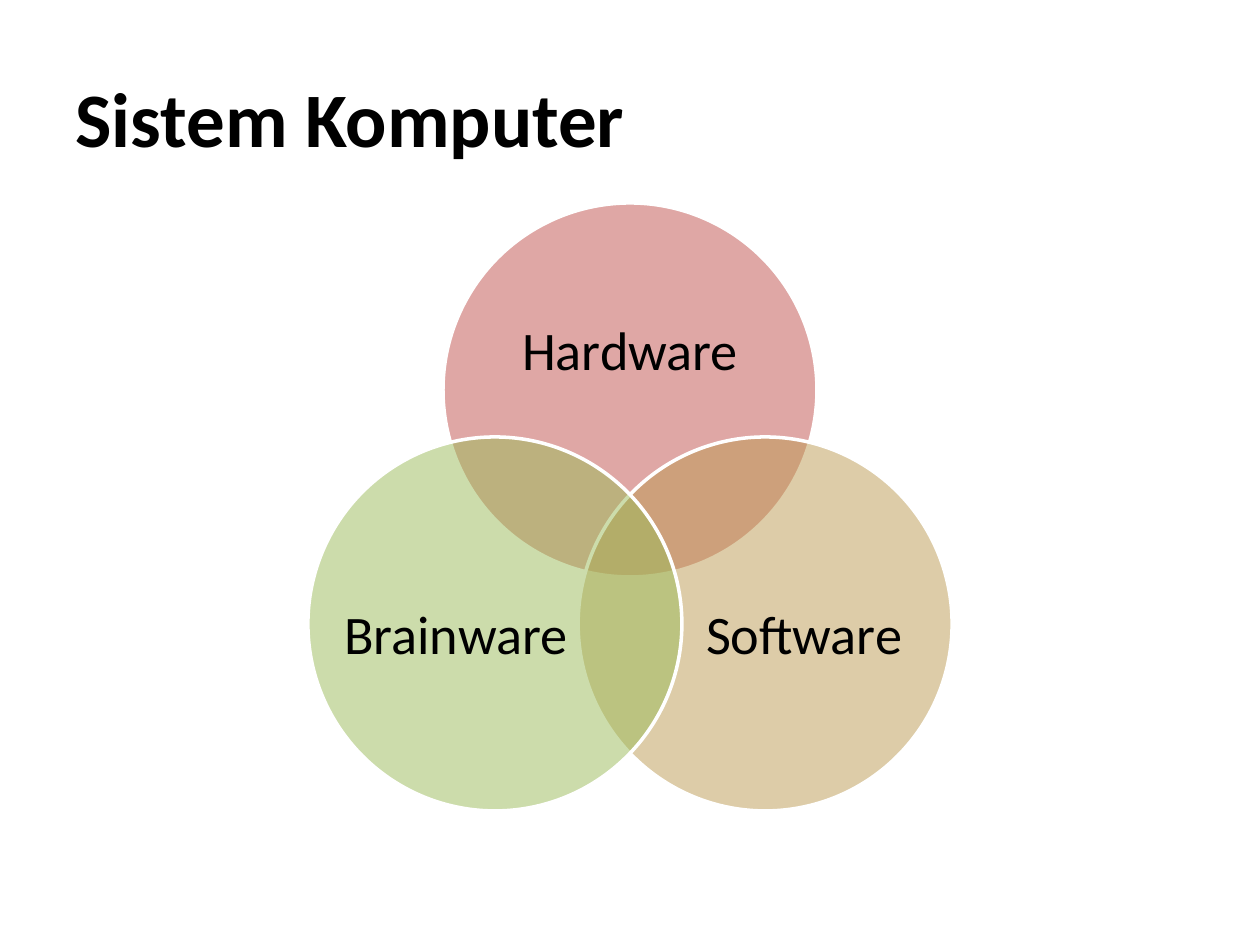
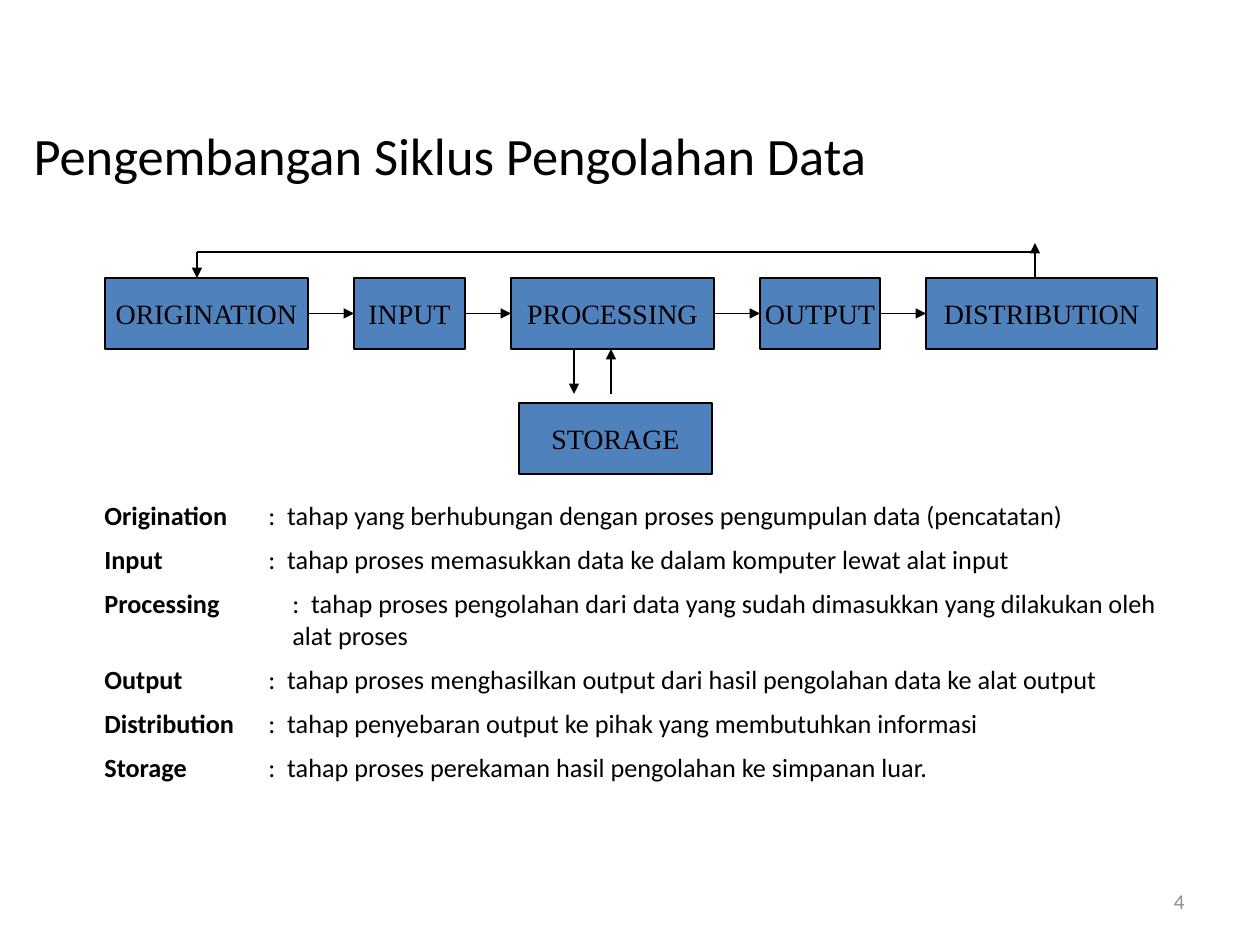
import math

import pptx
import pptx.util
import pptx.dml.color
import pptx.enum.shapes
import pptx.enum.text
import pptx.oxml.ns
import lxml.etree

RGB = pptx.dml.color.RGBColor
Pt = pptx.util.Pt
ALIGN = pptx.enum.text.PP_ALIGN
SHAPE = pptx.enum.shapes.MSO_SHAPE
qn = pptx.oxml.ns.qn

BLACK = RGB(0x00, 0x00, 0x00)
WHITE = RGB(0xFF, 0xFF, 0xFF)
GREY = RGB(0x8C, 0x8C, 0x8C)
RED = RGB(0xC0, 0x50, 0x4D)
SAND = RGB(0xBD, 0x9B, 0x53)
GREEN = RGB(0x9B, 0xBB, 0x59)
BLUE = RGB(0x4F, 0x81, 0xBD)
BODY_FONT = "Calibri"
BOX_FONT = "Times New Roman"
PX_PER_INCH = 126

# name, colour, angle on the ring, label size, label shift from the circle's centre
PARTS = [
    ("Hardware", RED, -90, (275, 169), (0, -37)),
    ("Software", SAND, 30, (224, 205), (39, 13)),
    ("Brainware", GREEN, 150, (224, 205), (-39, 13)),
]
VENN_CENTRE = (630, 546)
RING = 156
DIAMETER = 374

STAGES = [("ORIGINATION", 203), ("INPUT", 111), ("PROCESSING", 203),
          ("OUTPUT", 120), ("DISTRIBUTION", 231)]
FLOW_LEFT, FLOW_TOP, BOX_HEIGHT, GAP = 105, 278, 71, 46
STORAGE = ("STORAGE", 519, 403, 193)
FEEDBACK_LEFT, FEEDBACK_RIGHT, FEEDBACK_Y = 197, 1035, 252

TERMS = [
    ("Origination", "tahap yang berhubungan dengan proses pengumpulan data (pencatatan)"),
    ("Input", "tahap proses memasukkan data ke dalam komputer lewat alat input"),
    ("Processing", "tahap proses pengolahan dari data yang sudah dimasukkan yang "
                   "dilakukan oleh alat proses"),
    ("Output", "tahap proses menghasilkan output dari hasil pengolahan data ke alat output"),
    ("Distribution", "tahap penyebaran output ke pihak yang membutuhkan informasi"),
    ("Storage", "tahap proses perekaman hasil pengolahan ke simpanan luar."),
]
TAB_STOP = 164
HANGING = {"Processing": 188}


def px(n):
    return pptx.util.Emu(round(n * 914400 / PX_PER_INCH))


def style(run, size, font=BODY_FONT, color=BLACK, bold=False):
    run.font.size = Pt(size)
    run.font.name = font
    run.font.color.rgb = color
    run.font.bold = bold


def write(sp, text, size, align=ALIGN.CENTER, **look):
    """Put one vertically centred paragraph in a shape."""
    tf = sp.text_frame
    tf.text = text
    tf.vertical_anchor = pptx.enum.text.MSO_ANCHOR.MIDDLE
    p = tf.paragraphs[0]
    p.alignment = align
    style(p.runs[0], size, **look)
    return tf


def new_slide(prs, title, box, size, bold=False):
    s = prs.slides.add_slide(prs.slide_layouts[5])
    sp = s.shapes.title
    sp.left, sp.top, sp.width, sp.height = map(px, box)
    write(sp, title, size, ALIGN.LEFT, bold=bold)
    return s


def add_shape(s, kind, box, fill, line, weight):
    sp = s.shapes.add_shape(kind, *map(px, box))
    sp.shadow.inherit = False
    sp.fill.solid()
    sp.fill.fore_color.rgb = fill
    sp.line.color.rgb = line
    sp.line.width = Pt(weight)
    return sp


def add_text_box(s, box):
    sp = s.shapes.add_textbox(*map(px, box))
    sp.text_frame.word_wrap = True
    return sp


def add_circle(s, cx, cy, color):
    box = (cx - DIAMETER / 2, cy - DIAMETER / 2, DIAMETER, DIAMETER)
    sp = add_shape(s, SHAPE.OVAL, box, color, WHITE, 2)
    clr = sp._element.spPr.find(qn("a:solidFill"))[0]
    lxml.etree.SubElement(clr, qn("a:alpha"), val="50000")


def add_label(s, text, cx, cy, width, height):
    sp = add_text_box(s, (cx - width / 2, cy - height / 2, width, height))
    tf = write(sp, text, 31)
    tf.margin_left = tf.margin_right = tf.margin_top = tf.margin_bottom = 0
    tf.paragraphs[0].line_spacing = 0.9


def add_box(s, text, left, top, width):
    sp = add_shape(s, SHAPE.RECTANGLE, (left, top, width, BOX_HEIGHT), BLUE, BLACK, 0.75)
    write(sp, text, 16, font=BOX_FONT).word_wrap = False


def add_line(s, x1, y1, x2, y2, arrow=True):
    straight = pptx.enum.shapes.MSO_CONNECTOR.STRAIGHT
    cn = s.shapes.add_connector(straight, *map(px, (x1, y1, x2, y2)))
    cn.line.color.rgb = BLACK
    cn.line.width = Pt(0.75)
    if arrow:
        lxml.etree.SubElement(cn.line._get_or_add_ln(), qn("a:tailEnd"), type="triangle")
    lxml.etree.SubElement(cn._element.spPr, qn("a:effectLst"))


def add_terms(s):
    tf = add_text_box(s, (92, 493, 1105, 321)).text_frame
    for i, (term, meaning) in enumerate(TERMS):
        p = tf.add_paragraph() if i else tf.paragraphs[0]
        p.space_before = Pt(7.2 if i else 0)
        for text, bold in ((term + "\t", True), (":  " + meaning, False)):
            r = p.add_run()
            r.text = text
            style(r, 15, bold=bold)
        pPr = p._p.get_or_add_pPr()
        tabs = lxml.etree.SubElement(pPr, qn("a:tabLst"))
        lxml.etree.SubElement(tabs, qn("a:tab"), pos=str(px(TAB_STOP)), algn="l")
        if term in HANGING:
            indent = px(HANGING[term])
            pPr.set("marL", str(indent))
            pPr.set("indent", str(-indent))


def build_venn(prs):
    s = new_slide(prs, "Sistem Komputer", (63, 38, 819, 157), 44, bold=True)
    for name, color, angle, size, (dx, dy) in PARTS:
        cx = VENN_CENTRE[0] + RING * math.cos(math.radians(angle))
        cy = VENN_CENTRE[1] + RING * math.sin(math.radians(angle))
        add_circle(s, cx, cy, color)
        add_label(s, name, cx + dx, cy + dy, *size)


def build_cycle(prs):
    s = new_slide(prs, "Pengembangan Siklus Pengolahan Data", (21, 98, 1050, 112), 30)
    write(add_text_box(s, (903, 876, 294, 50)), "4", 12, ALIGN.RIGHT, color=GREY)

    left, middle, bottom = FLOW_LEFT, FLOW_TOP + BOX_HEIGHT / 2, FLOW_TOP + BOX_HEIGHT
    for i, (name, width) in enumerate(STAGES):
        add_box(s, name, left, FLOW_TOP, width)
        if i:
            add_line(s, left - GAP, middle, left, middle)
        left += width + GAP
    add_box(s, *STORAGE)

    add_line(s, 574, bottom, 574, 394)
    add_line(s, 611, 394, 611, bottom)
    add_line(s, FEEDBACK_RIGHT, FLOW_TOP, FEEDBACK_RIGHT, 243)
    add_line(s, FEEDBACK_LEFT, FEEDBACK_Y, FEEDBACK_RIGHT, FEEDBACK_Y, arrow=False)
    add_line(s, FEEDBACK_LEFT, FEEDBACK_Y, FEEDBACK_LEFT, FLOW_TOP)
    add_terms(s)


def main():
    prs = pptx.Presentation()
    prs.slide_width, prs.slide_height = px(1260), px(945)
    build_venn(prs)
    build_cycle(prs)
    prs.save("out.pptx")


if __name__ == "__main__":
    main()
